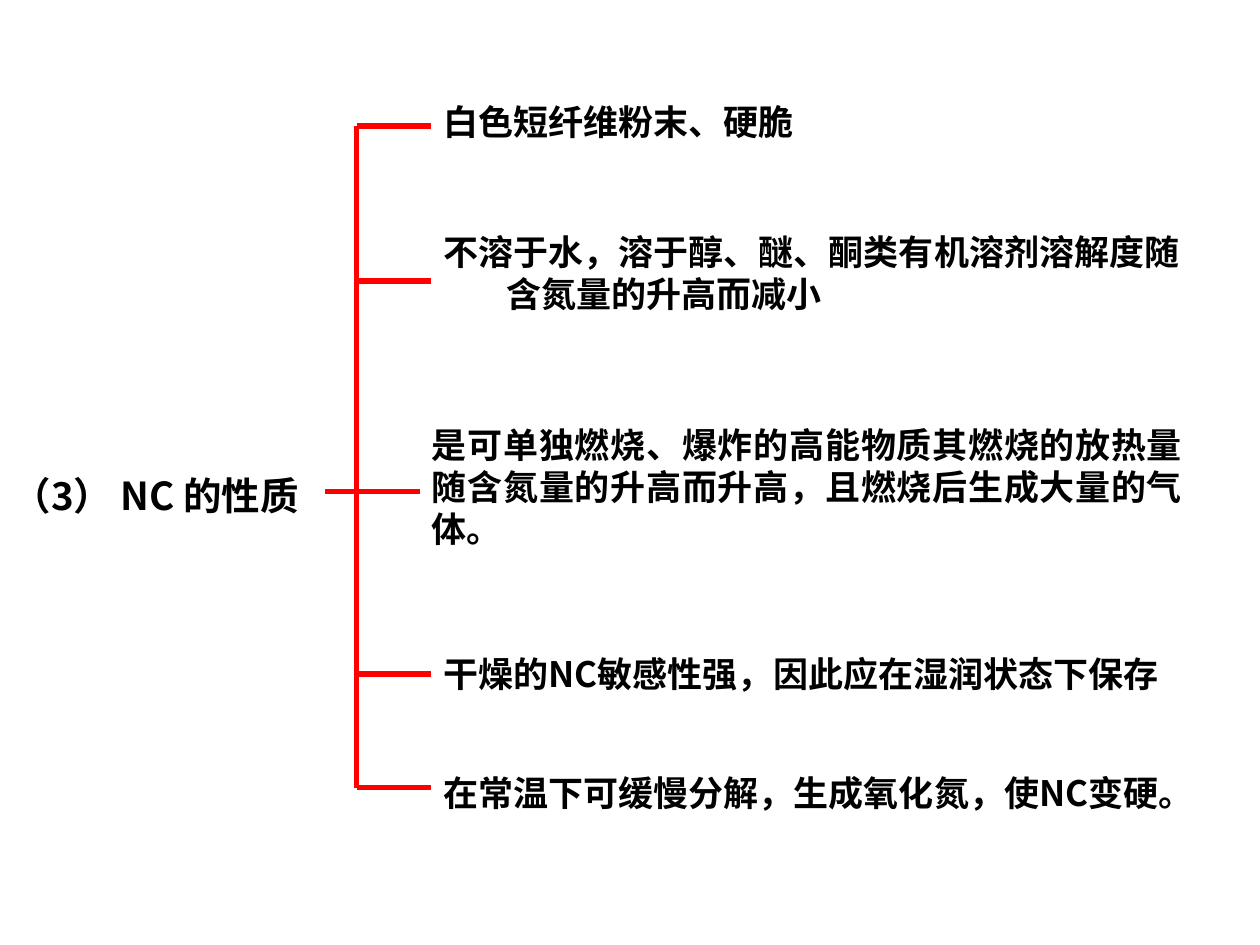
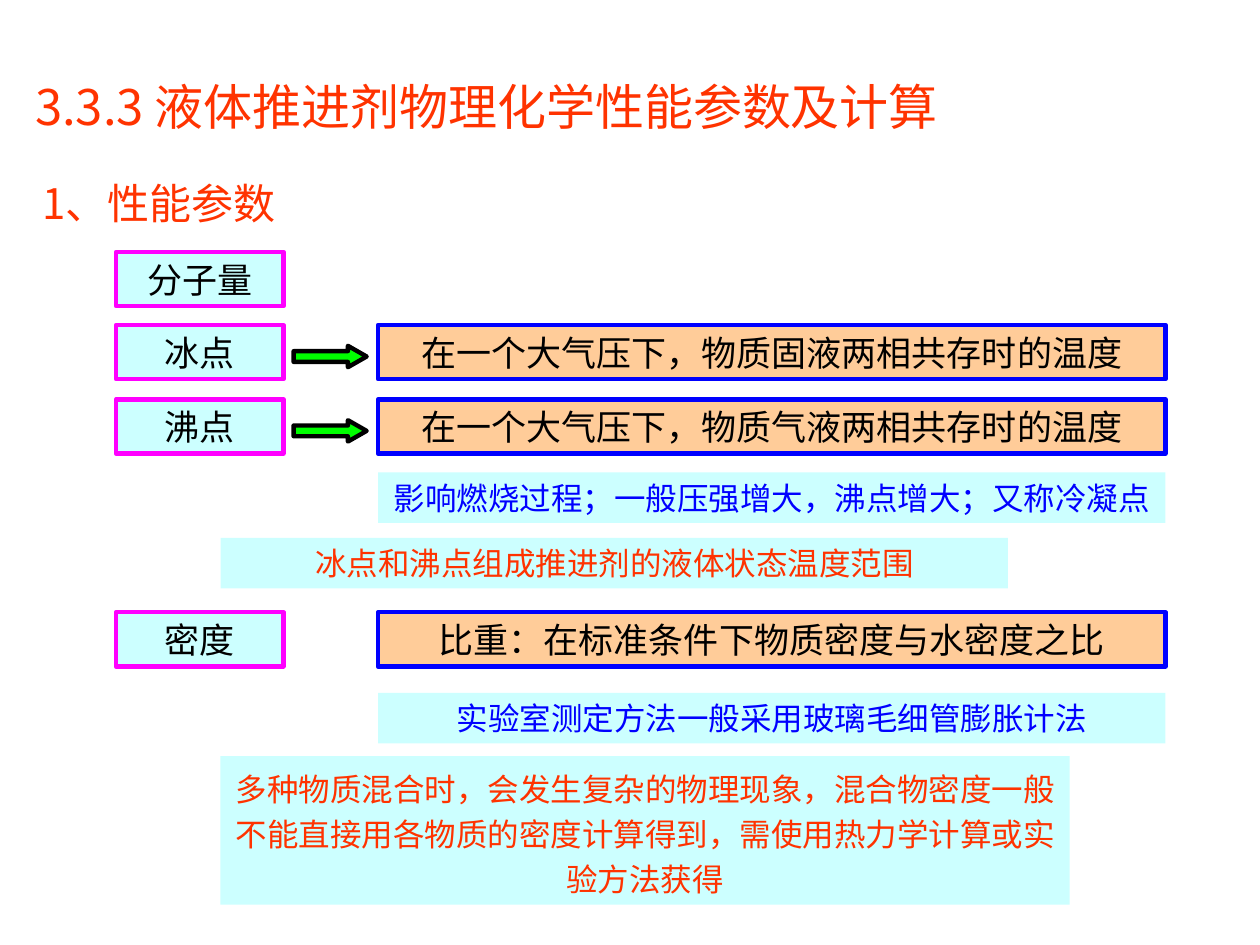
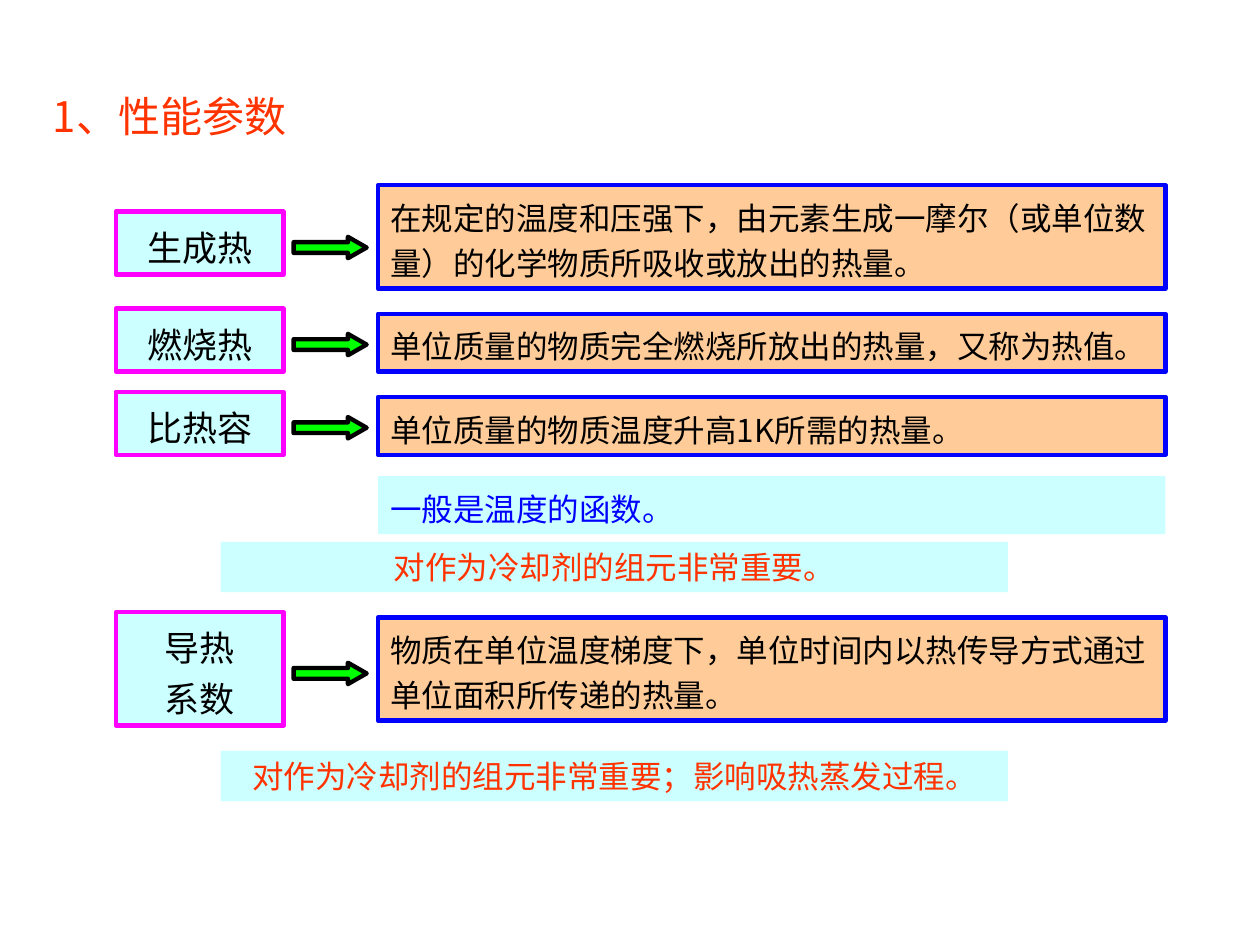
from dataclasses import dataclass

from lxml import etree
from pptx import Presentation
from pptx.dml.color import RGBColor
from pptx.enum import shapes, text
from pptx.oxml import ns
from pptx.util import Inches, Pt


# Theme
@dataclass(frozen=True)
class Theme:
    font: str = "Noto Sans CJK SC"
    black: str = "000000"
    white: str = "FFFFFF"
    red: str = "FF0000"
    orange: str = "FF3300"
    blue: str = "0000FF"
    pink: str = "FF00FF"
    cyan: str = "CCFFFF"
    peach: str = "FFCC99"
    green: str = "00FF00"
    head: int = 28
    sub: int = 24
    label: int = 22
    body: int = 20
    small: int = 18
    edge: float = 2.5
    rule: float = 3


T = Theme()
LEFT, MID, FULL = text.PP_ALIGN.LEFT, text.PP_ALIGN.CENTER, text.PP_ALIGN.JUSTIFY

# Content: slide 1
ROOT = "（3） NC 的性质"
TRUNK, STEM, ROOT_Y = 2.83, 2.58, 3.9
# text, top, branch height, lines, hanging indent
LEAVES = [
    ("白色短纤维粉末、硬脆", 0.75, 1.0, 1, True),
    ("不溶于水，溶于醇、醚、酮类有机溶剂溶解度随含氮量的升高而减小", 1.78, 2.23, 2, True),
    ("是可单独燃烧、爆炸的高能物质其燃烧的放热量随含氮量的升高而升高，且燃烧后生成大量的气体。",
     3.31, ROOT_Y, 3, False),
    ("干燥的NC敏感性强，因此应在湿润状态下保存", 5.13, 5.35, 1, True),
    ("在常温下可缓慢分解，生成氧化氮，使NC变硬。", 6.07, 6.25, 2, True),
]

# Content: slides 2 and 3
HEAD = "3.3.3 液体推进剂物理化学性能参数及计算"
SUB = "1、性能参数"
# kind, top, lines, text, changes to the style of the kind
STATES = [
    ("term", 2.0, 1, "分子量", {}),
    ("term", 2.58, 1, "冰点", {"arrow": True}),
    ("fact", 2.58, 1, "在一个大气压下，物质固液两相共存时的温度", {}),
    ("term", 3.17, 1, "沸点", {"arrow": True}),
    ("fact", 3.17, 1, "在一个大气压下，物质气液两相共存时的温度", {}),
    ("note", 3.75, 1, "影响燃烧过程；一般压强增大，沸点增大；又称冷凝点", {}),
    ("remark", 4.27, 1, "冰点和沸点组成推进剂的液体状态温度范围", {}),
    ("term", 4.86, 1, "密度", {}),
    ("fact", 4.86, 1, "比重：在标准条件下物质密度与水密度之比", {}),
    ("note", 5.5, 1, "实验室测定方法一般采用玻璃毛细管膨胀计法", {}),
    ("remark", 6.0, 3,
     "多种物质混合时，会发生复杂的物理现象，混合物密度一般不能直接用各物质的密度计算得到，需使用热力学计算或实验方法获得",
     {"wide": 6.74, "gap": 1.2}),
]
LOOSE = {"gap": 1.2}
PLAIN = {"gap": 1.2, "size": T.small, "align": LEFT}
POINT = {"gap": 1.2, "arrow": True}
HEATS = [
    ("term", 1.68, 1, "生成热", POINT),
    ("fact", 1.47, 2, "在规定的温度和压强下，由元素生成一摩尔（或单位数量）的化学物质所吸收或放出的热量。", PLAIN),
    ("note", 3.78, 1, "一般是温度的函数。", PLAIN),
    ("remark", 4.3, 1, "对作为冷却剂的组元非常重要。", {}),
    ("term", 2.45, 1, "燃烧热", POINT),
    ("fact", 2.49, 1, "单位质量的物质完全燃烧所放出的热量，又称为热值。", PLAIN),
    ("term", 3.11, 1, "比热容", POINT),
    ("fact", 3.15, 1, "单位质量的物质温度升高1K所需的热量。", PLAIN),
    ("term", 4.86, 2, "导热\n系数", POINT),
    ("fact", 4.9, 2, "物质在单位温度梯度下，单位时间内以热传导方式通过单位面积所传递的热量。", PLAIN),
    ("remark", 5.96, 1, "对作为冷却剂的组元非常重要；影响吸热蒸发过程。", {}),
]
KINDS = {
    "term": dict(left=0.92, wide=1.33, fill=T.cyan, edge=T.pink, size=T.body, color=T.black),
    "fact": dict(left=3, wide=6.25, fill=T.peach, edge=T.blue, size=T.body, color=T.black),
    "note": dict(left=3, wide=6.25, fill=T.cyan, size=T.small, color=T.blue),
    "remark": dict(left=1.75, wide=6.25, fill=T.cyan, size=T.small, color=T.orange),
}


# Helpers
def tall(size, lines=1, gap=1.0):
    """Box height: insets plus 1.2 times the type size a line."""
    return round(0.1 + lines * size * gap / 60, 2)


def place(shape, left, top, wide, high):
    shape.left, shape.top = Inches(left), Inches(top)
    shape.width, shape.height = Inches(wide), Inches(high)


def paint(shape, fill, edge=None):
    shape.shadow.inherit = False
    shape.fill.solid()
    shape.fill.fore_color.rgb = RGBColor.from_string(fill)
    if edge:
        shape.line.color.rgb = RGBColor.from_string(edge)
        shape.line.width = Pt(T.edge)
    else:
        shape.line.fill.background()


def write(shape, words, size, color, align=LEFT, gap=1.0, bold=False, hang=False):
    frame = shape.text_frame
    frame.text = words
    frame.word_wrap = True
    frame.vertical_anchor = text.MSO_ANCHOR.TOP
    frame.auto_size = text.MSO_AUTO_SIZE.SHAPE_TO_FIT_TEXT
    for para in frame.paragraphs:
        para.alignment, para.line_spacing = align, gap
        font = para.font
        font.size, font.bold = Pt(size), bold
        font.color.rgb = RGBColor.from_string(color)
        font.name = T.font
        props = para._p.get_or_add_pPr()
        east = etree.SubElement(props.find(ns.qn("a:defRPr")), ns.qn("a:ea"))
        east.set("typeface", T.font)
        if hang:
            props.set("marL", str(Inches(0.5)))
            props.set("indent", str(-Inches(0.5)))


def title(slide, words, left, top, wide, size, color=T.orange, lines=1, gap=1.0, **look):
    place(slide.shapes.title, left, top, wide, tall(size, lines, gap))
    write(slide.shapes.title, words, size, color, gap=gap, **look)


def preset(slide, form, left, top, wide, high, fill, edge=None):
    shape = slide.shapes.add_shape(form, 0, 0, 0, 0)
    place(shape, left, top, wide, high)
    paint(shape, fill, edge)
    return shape


def box(slide, words, left, top, wide, lines, fill, size, color, edge=None, gap=1.0, **look):
    high = tall(size, lines, gap)
    shape = preset(slide, shapes.MSO_SHAPE.RECTANGLE, left, top, wide, high, fill, edge)
    write(shape, words, size, color, gap=gap, **look)
    return high


def line(slide, *ends):
    link = slide.shapes.add_connector(shapes.MSO_CONNECTOR.STRAIGHT, *map(Inches, ends))
    link.line.color.rgb = RGBColor.from_string(T.red)
    link.line.width = Pt(T.rule)
    etree.SubElement(link._element.spPr, ns.qn("a:effectLst"))


def chart_rows(slide, rows):
    for kind, top, lines, words, change in rows:
        look = {"align": MID, **KINDS[kind], **change}
        arrow = look.pop("arrow", False)
        high = box(slide, words, top=top, lines=lines, **look)
        if arrow:
            mark = preset(slide, shapes.MSO_SHAPE.RIGHT_ARROW, 2.33,
                          top + high / 2 - 0.05, 0.58, 0.17, T.green, T.black)
            mark.adjustments[1] = 0.875


# Slides
def tree(slide):
    title(slide, ROOT, 0, 3.7, STEM, T.label, T.black, lines=2, bold=True, hang=True)
    for words, top, _, lines, hang in LEAVES:
        left, wide = (3.42, 6.07) if hang else (3.33, 6.15)
        box(slide, words, left, top, wide, lines, T.white, T.body, T.black,
            align=LEFT if hang else FULL, bold=True, hang=hang)
    line(slide, STEM, ROOT_Y, TRUNK, ROOT_Y)
    line(slide, TRUNK, LEAVES[0][2], TRUNK, LEAVES[-1][2])
    for _, _, y, _, hang in LEAVES:
        line(slide, TRUNK, y, 3.42 if hang else 3.33, y)


def states(slide):
    title(slide, HEAD, 0.18, 0.46, 8.37, T.head, gap=1.2)
    sub = slide.shapes.add_textbox(0, 0, 0, 0)
    place(sub, 0.24, 1.24, 8.25, tall(T.sub, gap=1.3))
    write(sub, SUB, T.sub, T.orange, gap=1.3)
    chart_rows(slide, STATES)


def heats(slide):
    title(slide, SUB, 0.32, 0.55, 8.25, T.sub, gap=1.3)
    chart_rows(slide, HEATS)


def main():
    deck = Presentation()
    deck.slide_width, deck.slide_height = Inches(10), Inches(7.5)
    for build in (tree, states, heats):
        build(deck.slides.add_slide(deck.slide_layouts[5]))
    deck.save("out.pptx")


if __name__ == "__main__":
    main()
